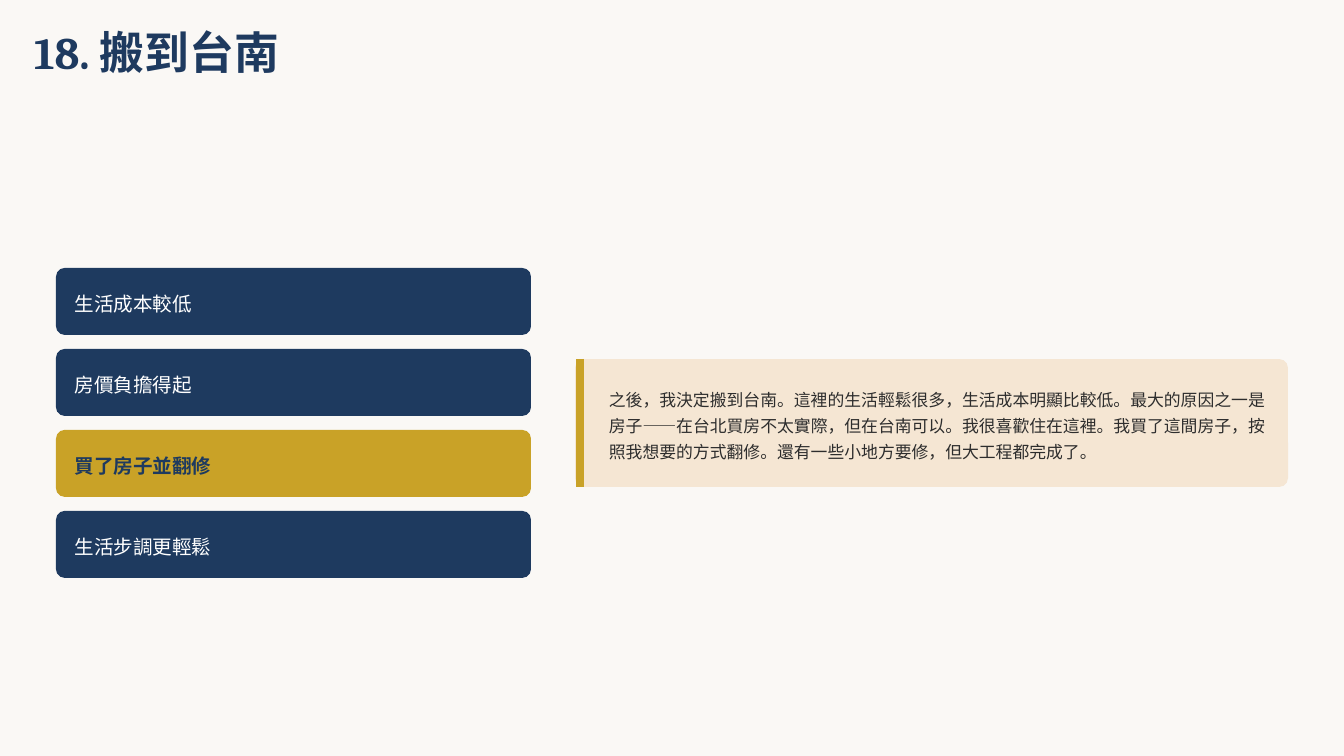
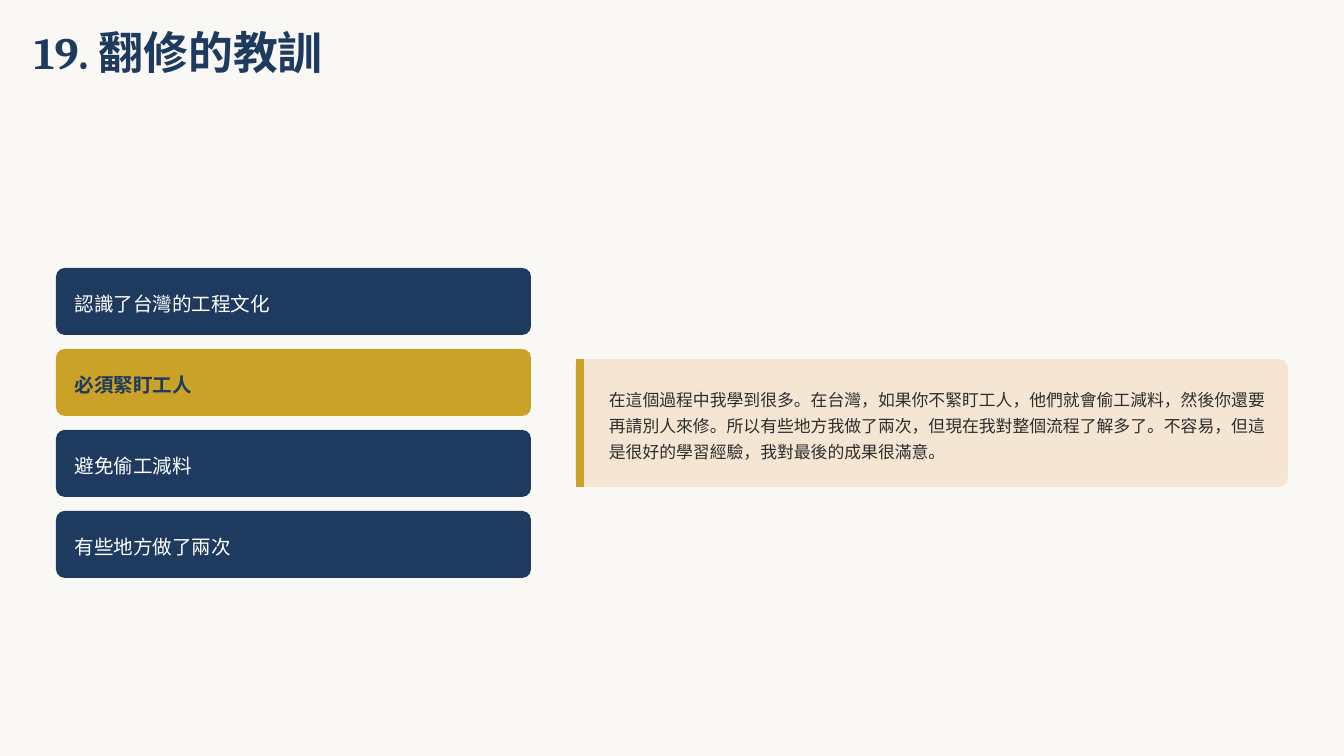
from lxml import etree
from pptx import Presentation
from pptx.dml.color import RGBColor
from pptx.enum import shapes, text
from pptx.oxml.ns import qn
from pptx import util as u

# Shared scale, colours and fonts
PX = 914400 / 134.4
PAPER, NAVY, GOLD = "FAF8F5", "1E3A5F", "C9A227"
SAND, INK, WHITE = "F5E6D3", "2D2D2D", "FFFFFF"
HEADING, BODY = "Cambria", "Arial"

# Grid of the point cards
CARD_LEFT, CARD_TOP, CARD_WIDTH, CARD_HEIGHT, CARD_STEP = 56, 268, 475, 67, 81

# Title, points, index of the highlighted point, story
SLIDES = [
    ("18. 搬到台南",
     ["生活成本較低", "房價負擔得起", "買了房子並翻修", "生活步調更輕鬆"], 2,
     "之後，我決定搬到台南。這裡的生活輕鬆很多，生活成本明顯比較低。"
     "最大的原因之一是房子——在台北買房不太實際，但在台南可以。"
     "我很喜歡住在這裡。我買了這間房子，按照我想要的方式翻修。"
     "還有一些小地方要修，但大工程都完成了。"),
    ("19. 翻修的教訓",
     ["認識了台灣的工程文化", "必須緊盯工人", "避免偷工減料", "有些地方做了兩次"], 1,
     "在這個過程中我學到很多。在台灣，如果你不緊盯工人，他們就會偷工減料，"
     "然後你還要再請別人來修。所以有些地方我做了兩次，但現在我對整個流程了解多了。"
     "不容易，但這是很好的學習經驗，我對最後的成果很滿意。"),
]


def px(*lengths):
    return [u.Emu(round(length * PX)) for length in lengths]


def colour(value):
    return RGBColor.from_string(value)


def add_text(page, area, words, size, spacing, ink, font=BODY, bold=False):
    box = page.shapes.add_textbox(*px(*area))
    frame = box.text_frame
    frame.word_wrap = True
    frame.vertical_anchor = text.MSO_ANCHOR.TOP
    frame.margin_left = frame.margin_top = frame.margin_right = frame.margin_bottom = 0
    para = frame.paragraphs[0]
    para.text = words
    para.line_spacing = u.Pt(spacing)
    para.font.name = font
    para.font.size = u.Pt(size)
    para.font.bold = bold
    para.font.color.rgb = colour(ink)


def add_panel(page, area, fill, rounding):
    panel = page.shapes.add_shape(shapes.MSO_SHAPE.ROUNDED_RECTANGLE, *px(*area))
    panel.adjustments[0] = rounding
    panel.shadow.inherit = False
    panel.fill.solid()
    panel.fill.fore_color.rgb = colour(fill)
    panel.line.fill.background()


def add_rule(page, start_x, start_y, end_x, end_y, ink, width):
    rule = page.shapes.add_connector(
        shapes.MSO_CONNECTOR.STRAIGHT, *px(start_x, start_y, end_x, end_y))
    rule.line.color.rgb = colour(ink)
    rule.line.width = u.Pt(width)
    etree.SubElement(rule._element.spPr, qn("a:effectLst"))


def add_card(page, row, words, highlighted):
    top = CARD_TOP + row * CARD_STEP
    fill, ink = (GOLD, NAVY) if highlighted else (NAVY, WHITE)
    add_panel(page, (CARD_LEFT, top, CARD_WIDTH, CARD_HEIGHT), fill, 0.13)
    add_text(page, (CARD_LEFT + 19, top + 20, CARD_WIDTH - 30, 27),
             words, 10.5, 14.7, ink, bold=highlighted)


def add_story(page, words):
    add_panel(page, (575, 359, 713, 128), SAND, 0.07)
    add_rule(page, 580, 359, 580, 487, GOLD, 4.5)
    add_text(page, (609, 384, 667, 78), words, 9, 13.9, INK)


def add_page(deck, title, points, highlight, story):
    page = deck.slides.add_slide(deck.slide_layouts[6])
    page.background.fill.solid()
    page.background.fill.fore_color.rgb = colour(PAPER)
    add_text(page, (34, 34, 653, 44), title, 24, 24, NAVY, HEADING, bold=True)
    for row, point in enumerate(points):
        add_card(page, row, point, row == highlight)
    add_story(page, story)


def main():
    deck = Presentation()
    deck.slide_width, deck.slide_height = px(1344, 756)
    for content in SLIDES:
        add_page(deck, *content)
    deck.save("out.pptx")


if __name__ == "__main__":
    main()
